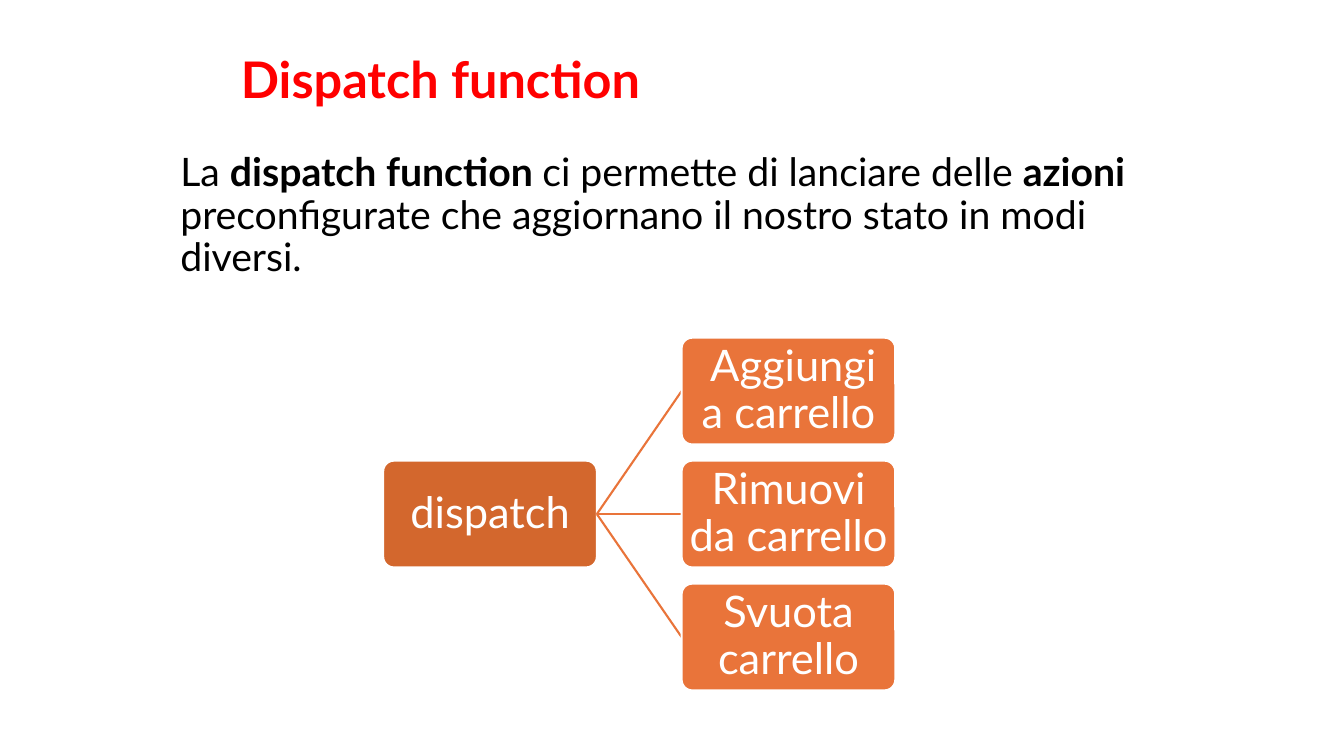
from lxml import etree
from pptx import Presentation
from pptx.dml.color import RGBColor
from pptx.enum import shapes, text
from pptx.oxml.ns import qn
from pptx.util import Inches, Pt

TITLE = "Dispatch function"
BODY = [
    ("La ", False),
    ("dispatch function ", True),
    ("ci permette di lanciare delle ", False),
    ("azioni ", True),
    ("preconfigurate che aggiornano il nostro stato in modi diversi.", False),
]
ROOT = "dispatch"
ACTIONS = [" Aggiungi a carrello", "Rimuovi da carrello", "Svuota carrello"]

FONT = "Lato"
RED = RGBColor(0xFF, 0x00, 0x00)
BLACK = RGBColor(0x00, 0x00, 0x00)
WHITE = RGBColor(0xFF, 0xFF, 0xFF)
DARK_ORANGE = RGBColor(0xD3, 0x67, 0x2D)
ORANGE = RGBColor(0xE9, 0x74, 0x3A)

ROOT_LEFT, ACTION_LEFT = 3.8, 6.76
NODE_WIDTH, NODE_HEIGHT = 2.12, 1.06
FIRST_TOP, ROW_STEP = 3.35, 1.22
ROOT_TOP = FIRST_TOP + ROW_STEP * (len(ACTIONS) - 1) / 2


def style(para, size, color):
    para.line_spacing = 0.9
    para.font.name = FONT
    para.font.size = Pt(size)
    para.font.color.rgb = color


def add_text(page, left, top, width, height, runs, size, color):
    box = page.shapes.add_textbox(Inches(left), Inches(top), Inches(width), Inches(height))
    box.text_frame.word_wrap = True
    para = box.text_frame.paragraphs[0]
    style(para, size, color)
    for words, bold in runs:
        span = para.add_run()
        span.text = words
        span.font.bold = bold


def add_node(page, left, top, label, fill):
    node = page.shapes.add_shape(
        shapes.MSO_SHAPE.ROUNDED_RECTANGLE,
        Inches(left), Inches(top), Inches(NODE_WIDTH), Inches(NODE_HEIGHT))
    node.adjustments[0] = 0.1
    node.shadow.inherit = False
    node.fill.solid()
    node.fill.fore_color.rgb = fill
    node.line.color.rgb = WHITE
    node.line.width = Pt(1.5)
    frame = node.text_frame
    frame.word_wrap = True
    frame.vertical_anchor = text.MSO_ANCHOR.MIDDLE
    frame.margin_left = frame.margin_right = Inches(0.02)
    frame.margin_top = frame.margin_bottom = Inches(0.05)
    para = frame.paragraphs[0]
    para.text = label
    para.alignment = text.PP_ALIGN.CENTER
    style(para, 31, WHITE)


def add_branch(page, action_top):
    branch = page.shapes.add_connector(
        shapes.MSO_CONNECTOR.STRAIGHT,
        Inches(ROOT_LEFT + NODE_WIDTH), Inches(ROOT_TOP + NODE_HEIGHT / 2),
        Inches(ACTION_LEFT), Inches(action_top + NODE_HEIGHT / 2))
    branch.line.color.rgb = ORANGE
    branch.line.width = Pt(1.5)
    etree.SubElement(branch._element.spPr, qn("a:effectLst"))


def main():
    deck = Presentation()
    deck.slide_width, deck.slide_height = Inches(13.33), Inches(7.5)
    page = deck.slides.add_slide(deck.slide_layouts[6])
    add_text(page, 1.69, 1.47, 9.98, 1.5, BODY, 28, BLACK)
    add_text(page, 2.29, 0.5, 10, 0.7, [(TITLE, True)], 36, RED)
    add_node(page, ROOT_LEFT, ROOT_TOP, ROOT, DARK_ORANGE)
    for row, label in enumerate(ACTIONS):
        top = FIRST_TOP + row * ROW_STEP
        add_branch(page, top)
        add_node(page, ACTION_LEFT, top, label, ORANGE)
    deck.save("out.pptx")


if __name__ == "__main__":
    main()
